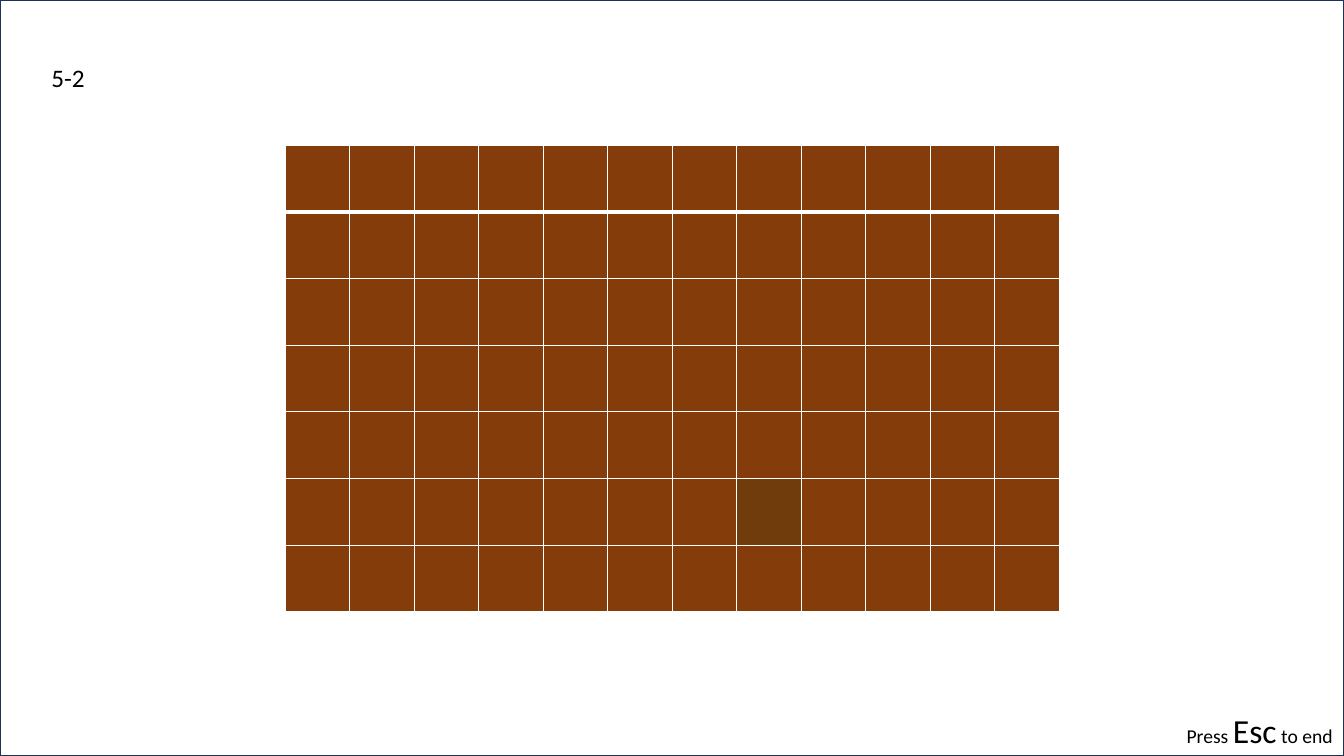
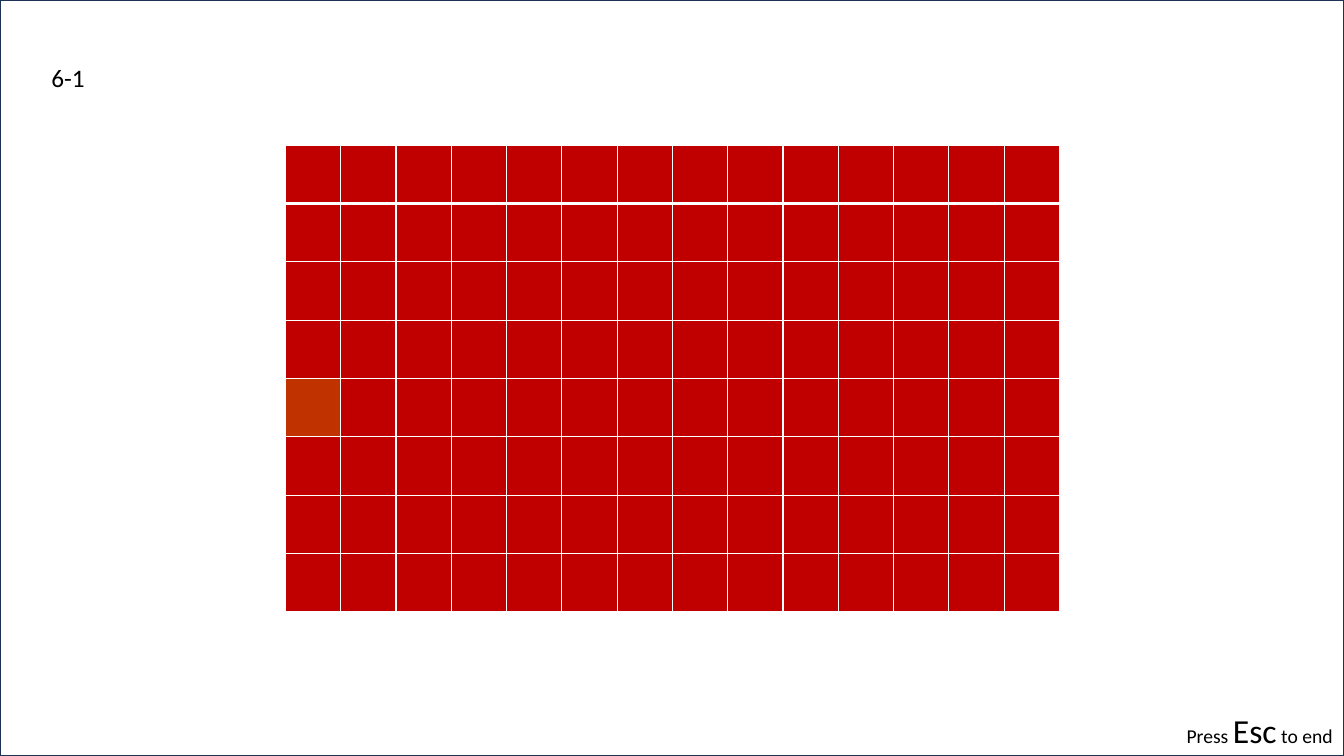
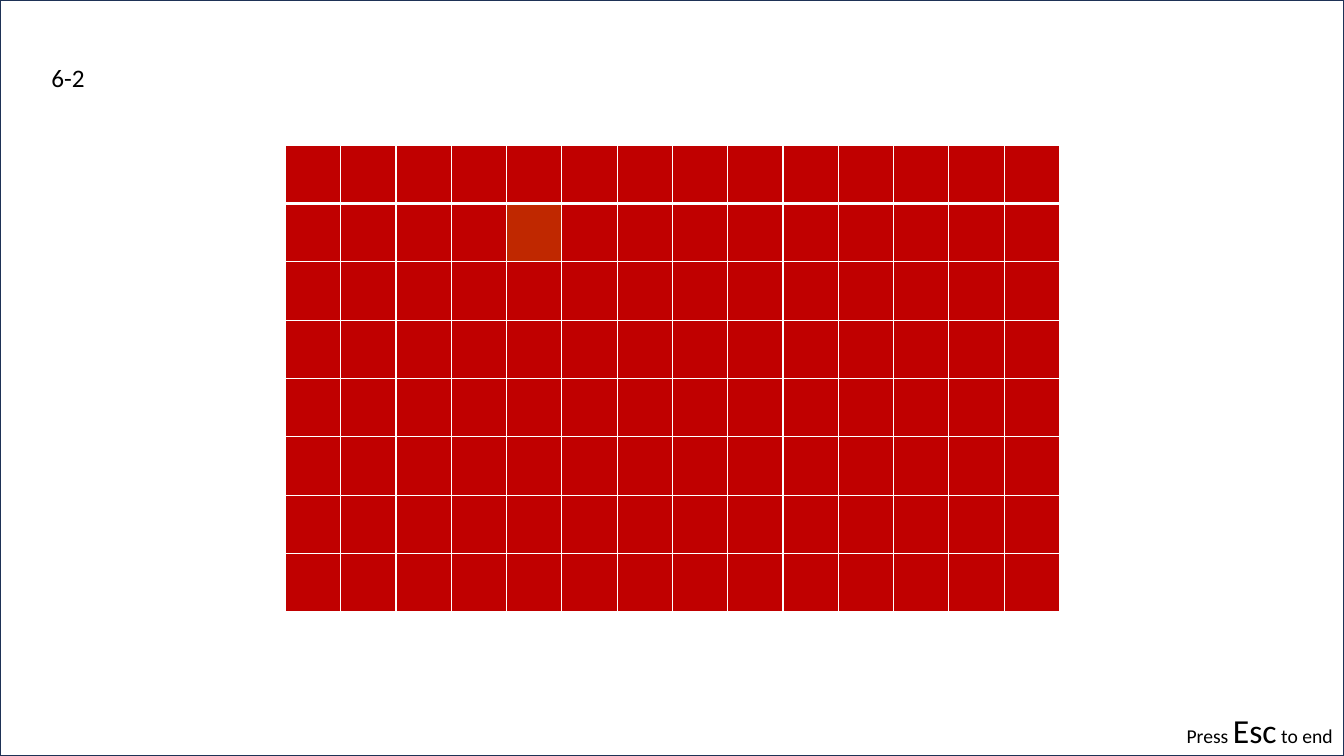
import pptx
import pptx.util
import pptx.dml.color
import pptx.enum.shapes
import pptx.enum.text
import pptx.oxml
import pptx.oxml.ns

Inches = pptx.util.Inches
Pt = pptx.util.Pt
RGBColor = pptx.dml.color.RGBColor

BLACK = RGBColor(0x00, 0x00, 0x00)
WHITE = RGBColor(0xFF, 0xFF, 0xFF)
NAVY = RGBColor(0x1E, 0x32, 0x56)
BROWN = RGBColor(0x84, 0x3C, 0x0B)
DARK_BROWN = RGBColor(0x70, 0x3C, 0x0C)
RED = RGBColor(0xC0, 0x00, 0x00)
ORANGE_RED = RGBColor(0xC0, 0x32, 0x00)
RUST_RED = RGBColor(0xC0, 0x28, 0x00)

FONT = "Calibri"
SLIDE_BOX = (Inches(0), Inches(0), Inches(13.33), Inches(7.5))
LEVEL_BOX = (Inches(0.41), Inches(0.57), Inches(0.54), Inches(0.4))
BOARD_BOX = (Inches(2.83), Inches(1.44), Inches(7.68), Inches(4.63))
HINT_BOX = (Inches(11.67), Inches(6.99), Inches(1.66), Inches(0.5))
THIN, THICK = Pt(1), Pt(3)

LEVELS = [
    ("5-2", 7, 12, BROWN, (5, 7), DARK_BROWN),
    ("6-1", 8, 14, RED, (4, 0), ORANGE_RED),
    ("6-2", 8, 14, RED, (1, 4), RUST_RED),
]


def fit_to_text(frame):
    frame.word_wrap = False
    frame.auto_size = pptx.enum.text.MSO_AUTO_SIZE.SHAPE_TO_FIT_TEXT
    frame.vertical_anchor = pptx.enum.text.MSO_ANCHOR.TOP


def style_font(font, size):
    font.name = FONT
    font.size = Pt(size)
    font.color.rgb = BLACK


def set_borders(cell, **widths):
    properties = cell._tc.get_or_add_tcPr()
    for index, side in enumerate("LRTB"):
        border = pptx.oxml.parse_xml(
            f'<a:ln{side} {pptx.oxml.ns.nsdecls("a")} w="{widths.get(side, THIN)}">'
            f'<a:solidFill><a:srgbClr val="{WHITE}"/></a:solidFill></a:ln{side}>'
        )
        properties.insert(index, border)


def add_board(slide, box, rows, columns, colour, odd_cell, odd_colour):
    board = slide.shapes.add_table(rows, columns, *box).table
    for column in board.columns:
        column.width = box[2] // columns
    for row in board.rows:
        row.height = box[3] // rows
    for r in range(rows):
        for c in range(columns):
            cell = board.cell(r, c)
            cell.fill.solid()
            cell.fill.fore_color.rgb = odd_colour if (r, c) == odd_cell else colour
            set_borders(cell, T=THICK if r == 1 else THIN, B=THICK if r == 0 else THIN)


def set_level(slide, box, name):
    level = slide.shapes.title
    level.left, level.top, level.width, level.height = box
    level.text_frame.text = name
    fit_to_text(level.text_frame)
    paragraph = level.text_frame.paragraphs[0]
    paragraph.alignment = pptx.enum.text.PP_ALIGN.LEFT
    style_font(paragraph.font, 18)


def add_frame(slide, box):
    frame = slide.shapes.add_shape(pptx.enum.shapes.MSO_SHAPE.RECTANGLE, *box)
    frame.shadow.inherit = False
    frame.fill.background()
    frame.line.color.rgb = NAVY
    frame.line.width = Pt(1)


def add_hint(slide, box):
    hint = slide.shapes.add_textbox(*box).text_frame
    fit_to_text(hint)
    paragraph = hint.paragraphs[0]
    for words, size in (("Press ", 14), ("Esc", 24), (" to end", 14)):
        run = paragraph.add_run()
        run.text = words
        style_font(run.font, size)


def add_level_slide(deck, name, *board):
    slide = deck.slides.add_slide(deck.slide_layouts[5])
    set_level(slide, LEVEL_BOX, name)
    add_board(slide, BOARD_BOX, *board)
    add_frame(slide, SLIDE_BOX)
    add_hint(slide, HINT_BOX)


def main():
    deck = pptx.Presentation()
    deck.slide_width, deck.slide_height = SLIDE_BOX[2:]
    for level in LEVELS:
        add_level_slide(deck, *level)
    deck.save("out.pptx")


if __name__ == "__main__":
    main()
